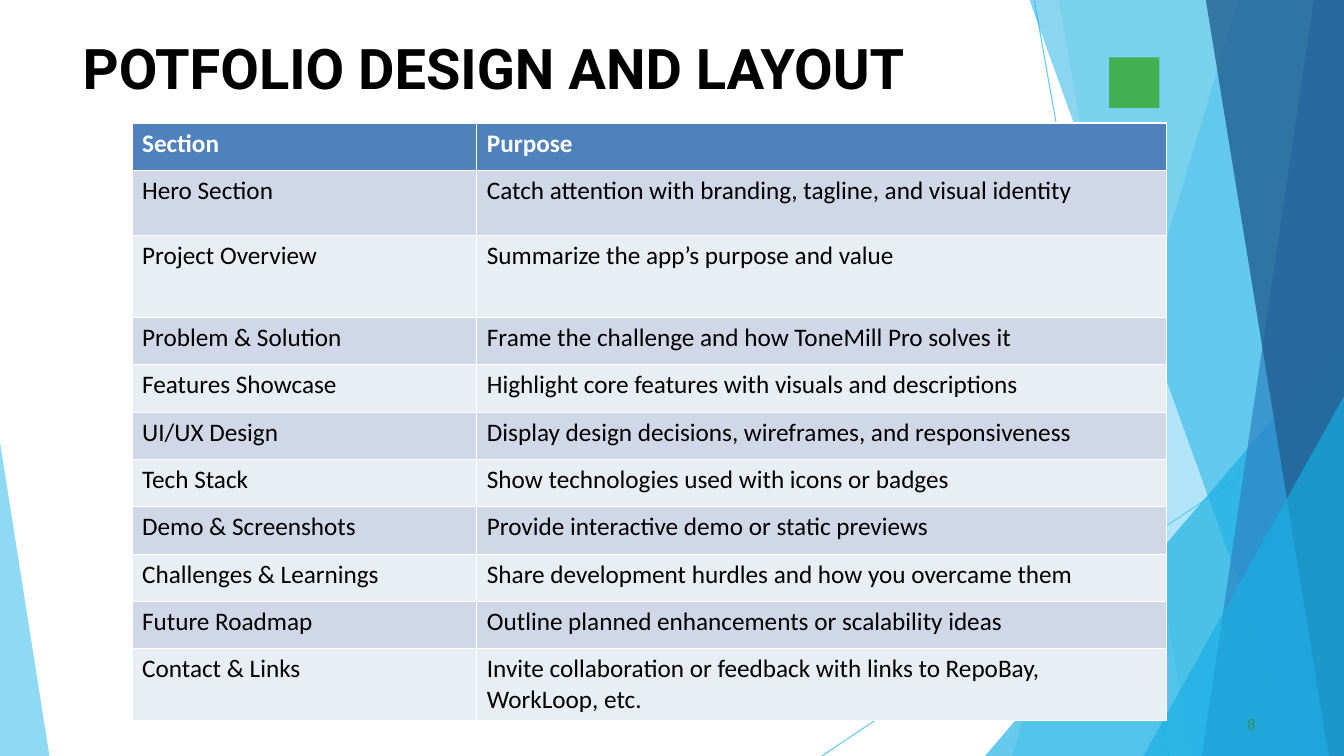
from dataclasses import dataclass

from lxml import etree
from pptx import Presentation
from pptx import util as u
from pptx.dml.color import RGBColor
from pptx.enum import shapes, text
from pptx.oxml.ns import qn

SKY = RGBColor(0x5F, 0xCA, 0xEE)
CYAN = RGBColor(0x17, 0xAF, 0xE3)
BLUE = RGBColor(0x2D, 0x83, 0xC3)
NAVY = RGBColor(0x22, 0x61, 0x92)
TEAL = RGBColor(0x2D, 0x93, 0x6B)
GREEN = RGBColor(0x42, 0xAF, 0x51)
HEADER = RGBColor(0x4F, 0x81, 0xBD)
BANDS = (RGBColor(0xE9, 0xED, 0xF4), RGBColor(0xD0, 0xD8, 0xE8))
BLACK = RGBColor(0, 0, 0)
WHITE = RGBColor(0xFF, 0xFF, 0xFF)

WIDTH, HEIGHT = 13.33, 7.5
Point = tuple[float, float]


@dataclass(frozen=True)
class Facet:
    points: tuple[Point, ...]
    color: RGBColor
    opacity: int


@dataclass(frozen=True)
class Square:
    left: float
    top: float
    side: float
    color: RGBColor


def right_facet(top_left: Point, bottom_left: float, color: RGBColor, opacity: int) -> Facet:
    """Facet between a slanted left edge and the right side of the slide."""
    corners = ((WIDTH, top_left[1]), top_left, (bottom_left, HEIGHT), (WIDTH, HEIGHT))
    return Facet(tuple(dict.fromkeys(corners)), color, opacity)


RAYS = (((10.26, 0.01), (11.59, HEIGHT)), ((WIDTH, 4.04), (8.15, HEIGHT)))
FACETS = (
    right_facet((12.28, 0), 10.04, SKY, 36),
    right_facet((10.5, 0), 11.82, SKY, 20),
    right_facet((WIDTH, 3.33), 9.77, CYAN, 66),
    right_facet((10.21, 0), 12.91, CYAN, 50),
    right_facet((13.03, 0), 11.92, BLUE, 70),
    right_facet((11.96, 0), 13.18, NAVY, 80),
    right_facet((WIDTH, 3.93), 11.34, CYAN, 66),
    Facet(((0, 4.39), (0, HEIGHT), (0.49, HEIGHT)), SKY, 70),
)
SQUARES = (Square(10.23, 6.45, 0.2, TEAL), Square(11, 0.57, 0.5, GREEN))

SECTIONS = (
    ("Section", "Purpose"),
    ("Hero Section", "Catch attention with branding, tagline, and visual identity"),
    ("Project Overview", "Summarize the app’s purpose and value"),
    ("Problem & Solution", "Frame the challenge and how ToneMill Pro solves it"),
    ("Features Showcase", "Highlight core features with visuals and descriptions"),
    ("UI/UX Design", "Display design decisions, wireframes, and responsiveness"),
    ("Tech Stack", "Show technologies used with icons or badges"),
    ("Demo & Screenshots", "Provide interactive demo or static previews"),
    ("Challenges & Learnings", "Share development hurdles and how you overcame them"),
    ("Future Roadmap", "Outline planned enhancements or scalability ideas"),
    ("Contact & Links", "Invite collaboration or feedback with links to RepoBay, WorkLoop, etc."),
)
COLUMN_WIDTHS = (3.42, 6.84)
ROW_HEIGHT = 0.47
TALL_ROWS = {1: 0.65, 2: 0.81}


def apply(target, formats: dict) -> None:
    for name, value in formats.items():
        setattr(target, name, value)


def format_font(font, color: RGBColor, formats: dict) -> None:
    apply(font, formats)
    font.color.rgb = color


def fill_plain(shape, color: RGBColor) -> None:
    shape.shadow.inherit = False
    shape.fill.solid()
    shape.fill.fore_color.rgb = color
    shape.line.fill.background()


def draw_ray(slide, start: Point, end: Point) -> None:
    ray = slide.shapes.add_connector(
        shapes.MSO_CONNECTOR.STRAIGHT, *(u.Inches(value) for value in start + end))
    ray.line.color.rgb = SKY
    ray.line.width = u.Pt(0.75)
    etree.SubElement(ray._element.spPr, qn("a:effectLst"))


def draw_facet(slide, facet: Facet) -> None:
    first, *rest = [(u.Inches(x), u.Inches(y)) for x, y in facet.points]
    builder = slide.shapes.build_freeform(*first)
    builder.add_line_segments(rest, close=True)
    outline = builder.convert_to_shape()
    fill_plain(outline, facet.color)
    color_node = outline._element.spPr.find(qn("a:solidFill"))[0]
    etree.SubElement(color_node, qn("a:alpha"), val=str(facet.opacity * 1000))


def draw_square(slide, square: Square) -> None:
    box = (square.left, square.top, square.side, square.side)
    marker = slide.shapes.add_shape(
        shapes.MSO_SHAPE.RECTANGLE, *(u.Inches(value) for value in box))
    fill_plain(marker, square.color)


def write_line(shape, content: str, color: RGBColor, formats: dict) -> None:
    frame = shape.text_frame
    apply(frame, {
        "margin_left": 0, "margin_right": 0, "margin_top": u.Inches(0.01),
        "margin_bottom": 0, "word_wrap": True,
        "auto_size": text.MSO_AUTO_SIZE.NONE,
        "vertical_anchor": text.MSO_ANCHOR.TOP,
    })
    line = frame.paragraphs[0]
    line.text = content
    apply(line, {"alignment": text.PP_ALIGN.LEFT, "space_before": u.Pt(1)})
    format_font(line.runs[0].font, color, {"name": "Roboto", **formats})


def draw_sections(slide) -> None:
    table = slide.shapes.add_table(
        len(SECTIONS), len(COLUMN_WIDTHS), u.Inches(1.31), u.Inches(1.22),
        u.Inches(sum(COLUMN_WIDTHS)), u.Inches(5.88)).table
    for column, width in zip(table.columns, COLUMN_WIDTHS):
        column.width = u.Inches(width)
    for index, (row, entries) in enumerate(zip(table.rows, SECTIONS)):
        row.height = u.Inches(TALL_ROWS.get(index, ROW_HEIGHT))
        is_header = index == 0
        for cell, entry in zip(row.cells, entries):
            cell.text = entry
            cell.fill.solid()
            cell.fill.fore_color.rgb = HEADER if is_header else BANDS[index % 2]
            format_font(cell.text_frame.paragraphs[0].runs[0].font,
                        WHITE if is_header else BLACK,
                        {"name": "Calibri", "size": u.Pt(18), "bold": is_header})


def main() -> None:
    deck = Presentation()
    apply(deck, {"slide_width": u.Inches(WIDTH), "slide_height": u.Inches(HEIGHT)})
    slide = deck.slides.add_slide(deck.slide_layouts[5])

    # Background facets
    for start, end in RAYS:
        draw_ray(slide, start, end)
    for facet in FACETS:
        draw_facet(slide, facet)

    # Accent squares
    for square in SQUARES:
        draw_square(slide, square)

    # Title and page number
    title = slide.shapes.title
    apply(title, {"left": u.Inches(0.82), "top": u.Inches(0.32),
                  "width": u.Inches(9.61), "height": u.Inches(0.69)})
    write_line(title, "POTFOLIO DESIGN AND LAYOUT", BLACK, {"size": u.Pt(40), "bold": True})
    page_number = slide.shapes.add_textbox(
        u.Inches(12.37), u.Inches(7.08), u.Inches(0.21), u.Inches(0.21))
    write_line(page_number, "8", TEAL, {"size": u.Pt(11)})

    # Section table
    draw_sections(slide)
    deck.save("out.pptx")


if __name__ == "__main__":
    main()
